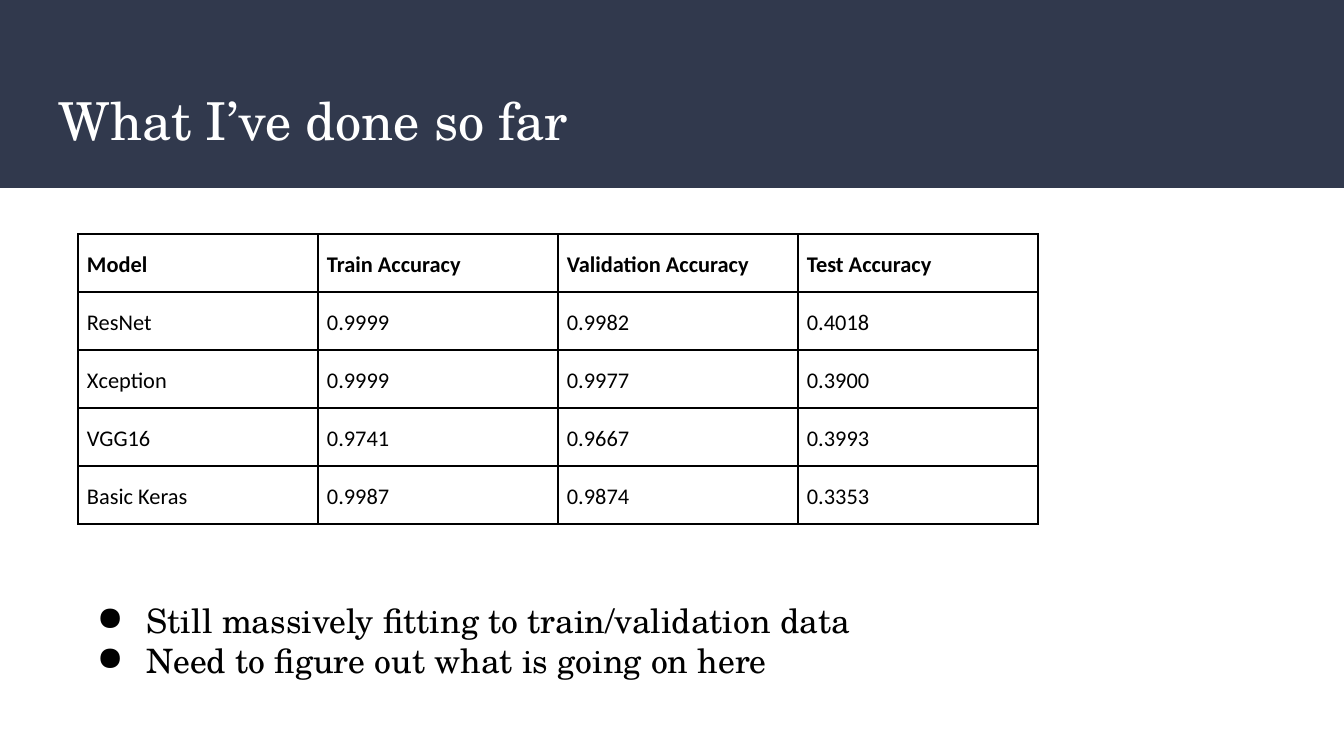
from lxml.etree import SubElement
from pptx import Presentation
from pptx.dml.color import RGBColor
from pptx.enum.shapes import MSO_SHAPE
from pptx.enum.text import MSO_ANCHOR
from pptx.oxml.ns import qn
from pptx.util import Pt

PX = 9144000 / 1344  # EMU in one px
NAVY = RGBColor(0x31, 0x39, 0x4D)
WHITE = RGBColor(0xFF, 0xFF, 0xFF)
BLACK = RGBColor(0x00, 0x00, 0x00)
SERIF = "TeX Gyre Schola"
SANS = "Calibri"


def px(length):
    return round(length * PX)


def write(frame, lines, *, size, font, color, bold=False, spacing=None, bullet=None):
    frame.word_wrap = True
    for index, line in enumerate(lines):
        paragraph = frame.paragraphs[0] if index == 0 else frame.add_paragraph()
        if bullet:
            properties = paragraph._p.get_or_add_pPr()
            properties.set("marL", str(px(67)))
            properties.set("indent", str(px(-50)))
            bullet_color = SubElement(properties, qn("a:buClr"))
            SubElement(bullet_color, qn("a:srgbClr"), val=str(color))
            SubElement(properties, qn("a:buChar"), char=bullet)
        if spacing:
            paragraph.line_spacing = spacing
        run = paragraph.add_run()
        run.text = line
        run.font.size = Pt(size)
        run.font.name = font
        run.font.bold = bold
        run.font.color.rgb = color


presentation = Presentation()
presentation.slide_width = px(1344)
presentation.slide_height = px(756)
slide = presentation.slides.add_slide(presentation.slide_layouts[6])

# Header band
band = slide.shapes.add_shape(MSO_SHAPE.RECTANGLE, 0, 0, px(1344), px(188))
band.shadow.inherit = False
band.fill.solid()
band.fill.fore_color.rgb = NAVY
band.line.fill.background()

# Title
title = slide.shapes.add_textbox(px(46), px(74), px(1252), px(91)).text_frame
title.margin_left = title.margin_right = px(13)
title.margin_top = title.margin_bottom = px(13)
title.vertical_anchor = MSO_ANCHOR.MIDDLE
write(title, ["What I’ve done so far"], size=28, font=SERIF, color=WHITE)

# Findings, in the lower part of their box
findings = slide.shapes.add_textbox(px(67), px(547), px(1003), px(149)).text_frame
findings.margin_left = findings.margin_right = findings.margin_bottom = px(13)
findings.margin_top = px(53)
write(
    findings,
    ["Still massively fitting to train/validation data",
     "Need to figure out what is going on here"],
    size=18, font=SERIF, color=BLACK, bullet="●",
)

# Accuracy table
RESULTS = [
    ("Model", "Train Accuracy", "Validation Accuracy", "Test Accuracy"),
    ("ResNet", "0.9999", "0.9982", "0.4018"),
    ("Xception", "0.9999", "0.9977", "0.3900"),
    ("VGG16", "0.9741", "0.9667", "0.3993"),
    ("Basic Keras", "0.9987", "0.9874", "0.3353"),
]
accuracy = slide.shapes.add_table(
    len(RESULTS), len(RESULTS[0]), px(78), px(234), px(960), px(290)
).table
accuracy.horz_banding = False
for row, values in enumerate(RESULTS):
    for column, value in enumerate(values):
        cell = accuracy.cell(row, column)
        cell.margin_left = cell.margin_right = px(9)
        cell.margin_top = cell.margin_bottom = px(13)
        write(cell.text_frame, [value], size=12, font=SANS, color=BLACK,
              bold=row == 0, spacing=1.15)
        # Borders come before the fill in the cell properties
        properties = cell._tc.get_or_add_tcPr()
        for side in ("a:lnL", "a:lnR", "a:lnT", "a:lnB"):
            border = SubElement(properties, qn(side), w=str(Pt(1)))
            border_fill = SubElement(border, qn("a:solidFill"))
            SubElement(border_fill, qn("a:srgbClr"), val=str(BLACK))
        cell.fill.background()

presentation.save("out.pptx")
